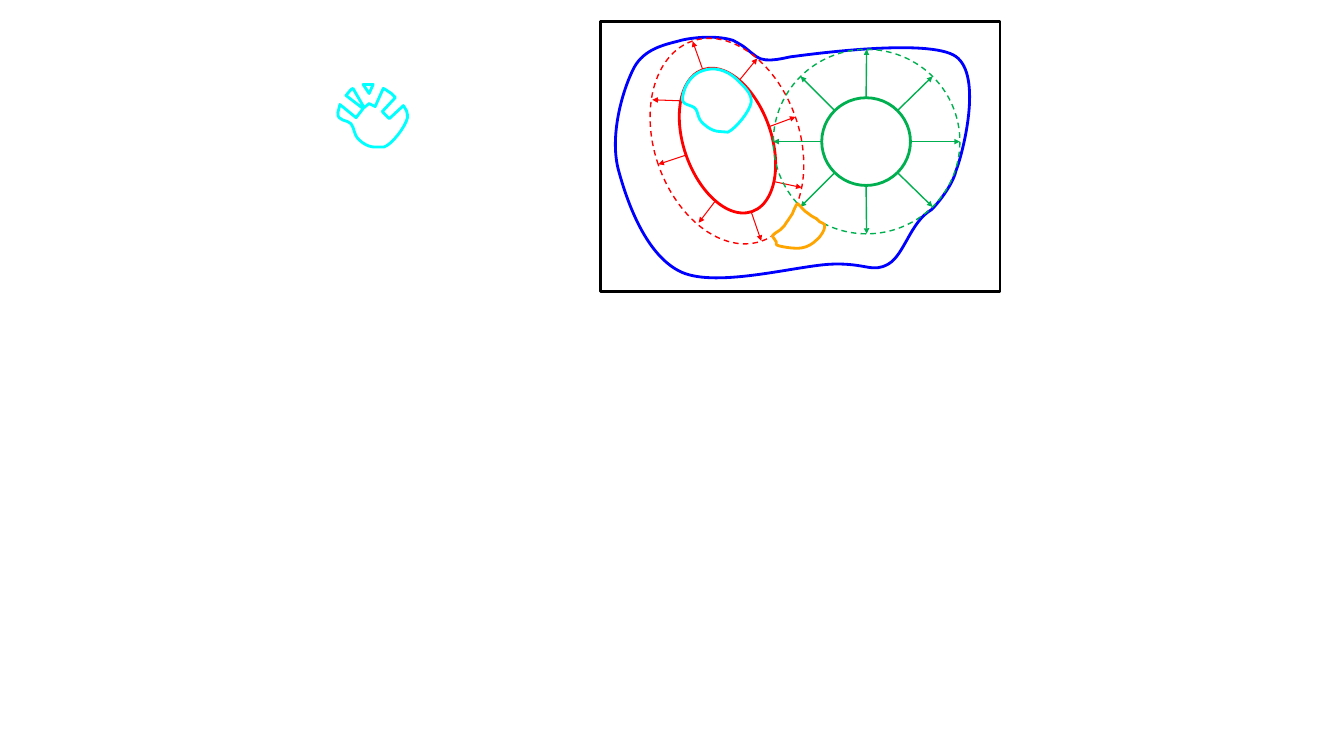
import math
from dataclasses import dataclass

from lxml import etree
from pptx import Presentation
from pptx.dml.color import RGBColor
from pptx.enum import dml, shapes
from pptx.oxml import ns

PX = 9144  # 100 px to the inch
TILT = 340.9

BLUE = RGBColor(0x00, 0x00, 0xFF)
RED = RGBColor(0xFF, 0x00, 0x00)
GREEN = RGBColor(0x00, 0xB0, 0x50)
CYAN = RGBColor(0x00, 0xFF, 0xFF)
ORANGE = RGBColor(0xFF, 0xA5, 0x00)
BLACK = RGBColor(0x00, 0x00, 0x00)

Point = tuple[float, float]


@dataclass(frozen=True)
class Stroke:
    color: RGBColor
    width: float = 2
    dashed: bool = False


@dataclass(frozen=True)
class Box:
    left: int
    top: int
    width: int
    height: int
    rotation: float = 0

    @property
    def center(self) -> Point:
        return self.left + self.width / 2, self.top + self.height / 2

    def edge_point(self, degrees: float) -> Point:
        """Point of the inscribed, unrotated ellipse at an angle."""
        x, y = self.center
        angle = math.radians(degrees)
        return x + self.width / 2 * math.cos(angle), y + self.height / 2 * math.sin(angle)


@dataclass(frozen=True)
class Outline:
    """Closed contours in M, L and C commands, as they lie on the slide."""
    commands: str
    stroke: Stroke
    box: Box


FRAME = Box(596, 21, 396, 268)
RED_CORE = Box(678, 65, 87, 149, TILT)
RED_REACH = Box(649, 35, 144, 210, TILT)
GREEN_CORE = Box(815, 97, 88, 87)
GREEN_REACH = Box(767, 49, 185, 183)

RED_LEFT_ARROW = ((680, 154), (653, 163))
RED_ARROWS = [
    ((697, 69), (687, 41)),
    ((745, 210), (755, 239)),
    ((762, 126), (789, 116)),
    ((675, 100), (647, 99)),
    ((709, 200), (693, 221)),
    ((733, 80), (751, 58)),
    ((767, 180), (795, 186)),
]

REGION = Outline(
    "M 627 71 C 636 50 656 45 672 41 C 681 38 708 34 727 40 C 742 48 739 48 750 56 "
    "C 760 64 782 56 787 56 C 796 55 921 37 948 56 C 975 75 955 152 948 170 "
    "C 945 183 931 201 924 208 C 903 220 897 253 881 262 C 865 271 860 261 826 262 "
    "C 792 263 712 286 676 270 C 641 254 622 201 613 167 C 605 134 617 92 627 71",
    Stroke(BLUE), Box(605, 34, 370, 252))
RED_CAP = Outline(
    "M 690 108 C 686 103 675 105 677 96 C 679 83 687 73 697 70 C 708 66 720 69 730 78 "
    "C 736 84 746 92 745 101 C 744 110 730 127 722 131 C 714 130 708 132 698 123 "
    "C 691 117 693 112 690 108",
    Stroke(CYAN), Box(675, 67, 71, 66, TILT))
OVERLAP = Outline(
    "M 766 234 C 768 232 769 231 771 230 C 772 229 773 229 774 228 C 776 226 776 226 778 224 "
    "C 779 223 780 220 782 218 C 783 216 785 214 786 212 C 787 209 788 207 789 205 "
    "C 790 204 790 202 791 202 C 792 202 795 206 796 207 C 798 209 800 211 802 212 "
    "C 804 214 808 216 810 217 C 812 218 812 218 813 220 C 815 221 819 222 818 225 "
    "C 818 228 814 235 810 238 C 806 242 801 245 795 246 C 788 247 777 245 773 244 "
    "C 769 243 770 242 770 240 L 766 234",
    Stroke(ORANGE), Box(766, 202, 53, 46))
NOTCHED_CAP = Outline(
    "M 380 88 L 382 89 C 384 90 386 92 388 93 L 392 97 L 379 111 L 386 118 L 400 105 "
    "L 403 110 C 404 112 404 115 404 117 C 402 126 389 143 381 146 C 372 146 366 148 356 139 "
    "C 350 133 352 128 348 123 C 345 119 334 121 335 112 L 337 104 L 353 117 L 360 108 "
    "L 343 95 L 348 89 L 350 88 L 361 107 L 366 103 L 372 106 "
    "M 364 84 L 370 84 L 366 93 L 360 84",
    Stroke(CYAN), Box(337, 83, 65, 66, TILT))


def format_line(line, stroke: Stroke) -> None:
    line.color.rgb = stroke.color
    line.width = int(stroke.width * 12700)
    if stroke.dashed:
        line.dash_style = dml.MSO_LINE.DASH


def format_outline(shape, stroke: Stroke, rotation: float) -> None:
    shape.shadow.inherit = False
    shape.fill.background()
    format_line(shape.line, stroke)
    shape.rotation = rotation


def add_preset(parent, kind: shapes.MSO_SHAPE, box: Box, stroke: Stroke) -> None:
    shape = parent.add_shape(kind, box.left * PX, box.top * PX, box.width * PX, box.height * PX)
    format_outline(shape, stroke, box.rotation)


def add_arrow(parent, start: Point, end: Point, stroke: Stroke) -> None:
    ends = [round(value * PX) for value in (*start, *end)]
    connector = parent.add_connector(shapes.MSO_CONNECTOR.STRAIGHT, *ends)
    format_line(connector.line, stroke)
    etree.SubElement(connector.line._get_or_add_ln(), ns.qn("a:tailEnd"),
                     type="triangle", w="sm", len="sm")
    etree.SubElement(connector._element.spPr, ns.qn("a:effectLst"))


def unrotate(point: Point, box: Box) -> Point:
    """Undo the box rotation and convert to EMU."""
    center_x, center_y = box.center
    x, y = point[0] - center_x, point[1] - center_y
    angle = math.radians(-box.rotation)
    cos, sin = math.cos(angle), math.sin(angle)
    return (center_x + x * cos - y * sin) * PX, (center_y + x * sin + y * cos) * PX


def trace_contours(outline: Outline) -> list[list[Point]]:
    """Corner and control points of each contour, in drawing order."""
    contours: list[list[Point]] = []
    tokens = iter(outline.commands.split())
    for command in tokens:
        if command == "M":
            contours.append([])
        for _ in range(3 if command == "C" else 1):
            point = float(next(tokens)), float(next(tokens))
            contours[-1].append(unrotate(point, outline.box))
    return contours


def bend_segments(shape, commands: str) -> None:
    """Join the three straight segments of each C command into one curve."""
    segments = iter(list(shape._element.iter(ns.qn("a:lnTo"))))
    for command in commands.split():
        if command == "L":
            next(segments)
        elif command == "C":
            curve = etree.Element(ns.qn("a:cubicBezTo"))
            first, *others = (next(segments) for _ in range(3))
            first.addprevious(curve)
            for segment in (first, *others):
                curve.append(segment[0])
                segment.getparent().remove(segment)


def add_outline(parent, outline: Outline) -> None:
    contours = trace_contours(outline)
    builder = parent.build_freeform(*contours[0][0], scale=1.0)
    for index, (start, *rest) in enumerate(contours):
        if index:
            builder.move_to(*start)
        builder.add_line_segments(rest, close=True)
    shape = builder.convert_to_shape()
    bend_segments(shape, outline.commands)
    format_outline(shape, outline.stroke, outline.box.rotation)


def main() -> None:
    presentation = Presentation()
    presentation.slide_width, presentation.slide_height = 1333 * PX, 750 * PX
    slide = presentation.slides.add_slide(presentation.slide_layouts[6])
    canvas = slide.shapes
    ellipse = shapes.MSO_SHAPE.OVAL

    add_outline(canvas, REGION)
    add_preset(canvas, ellipse, RED_CORE, Stroke(RED))
    add_arrow(canvas, *RED_LEFT_ARROW, Stroke(RED, 0.75))
    red_group = canvas.add_group_shape().shapes
    add_preset(red_group, ellipse, RED_REACH, Stroke(RED, 1, dashed=True))
    for start, end in RED_ARROWS:
        add_arrow(red_group, start, end, Stroke(RED, 0.75))

    add_preset(canvas, shapes.MSO_SHAPE.RECTANGLE, FRAME, Stroke(BLACK))
    add_preset(canvas, ellipse, GREEN_CORE, Stroke(GREEN))
    add_preset(canvas, ellipse, GREEN_REACH, Stroke(GREEN, 1, dashed=True))
    for degrees in range(-90, 270, 45):
        add_arrow(canvas, GREEN_CORE.edge_point(degrees), GREEN_REACH.edge_point(degrees),
                  Stroke(GREEN, 1))

    for outline in (RED_CAP, OVERLAP, NOTCHED_CAP):
        add_outline(canvas, outline)
    presentation.save("out.pptx")


if __name__ == "__main__":
    main()
